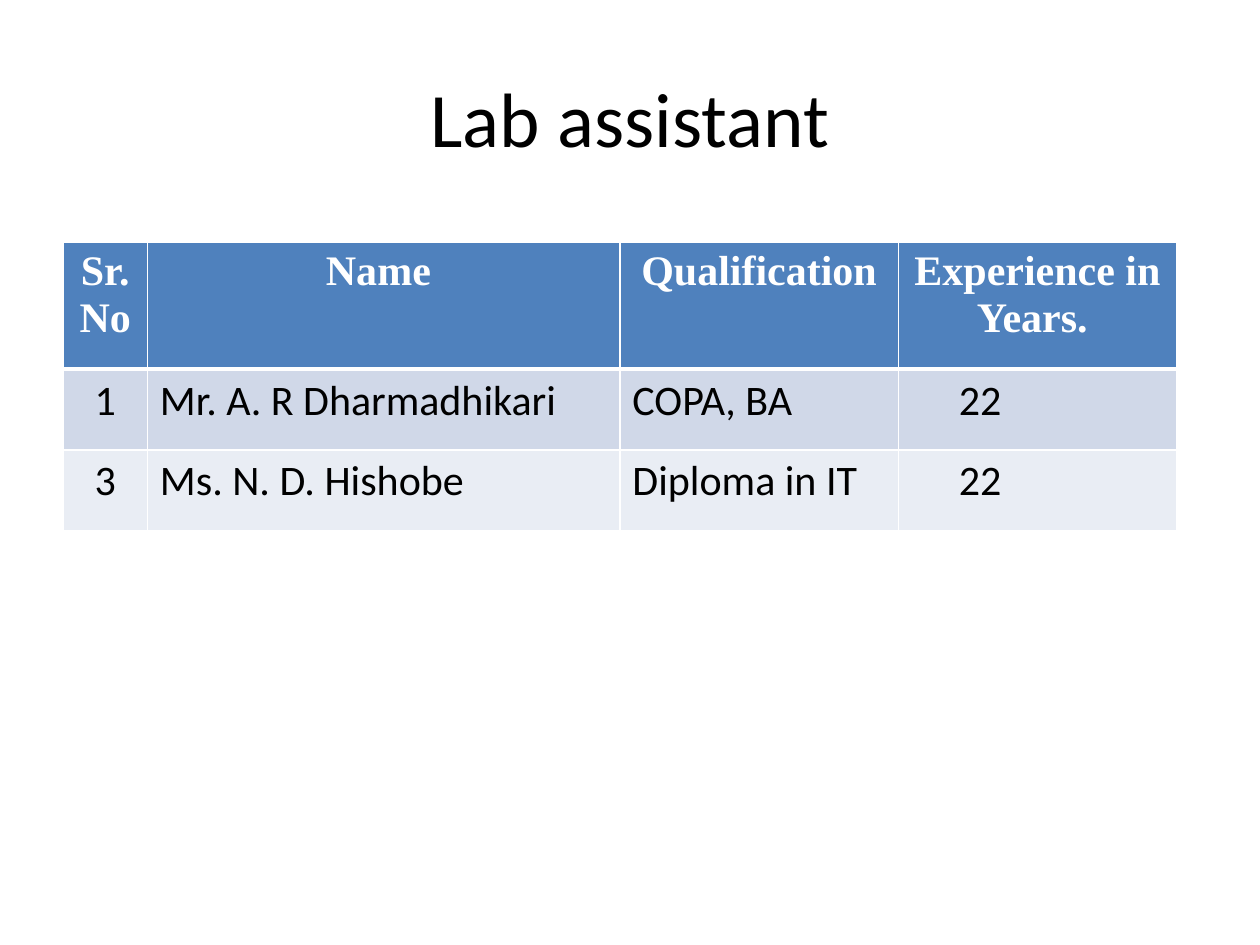
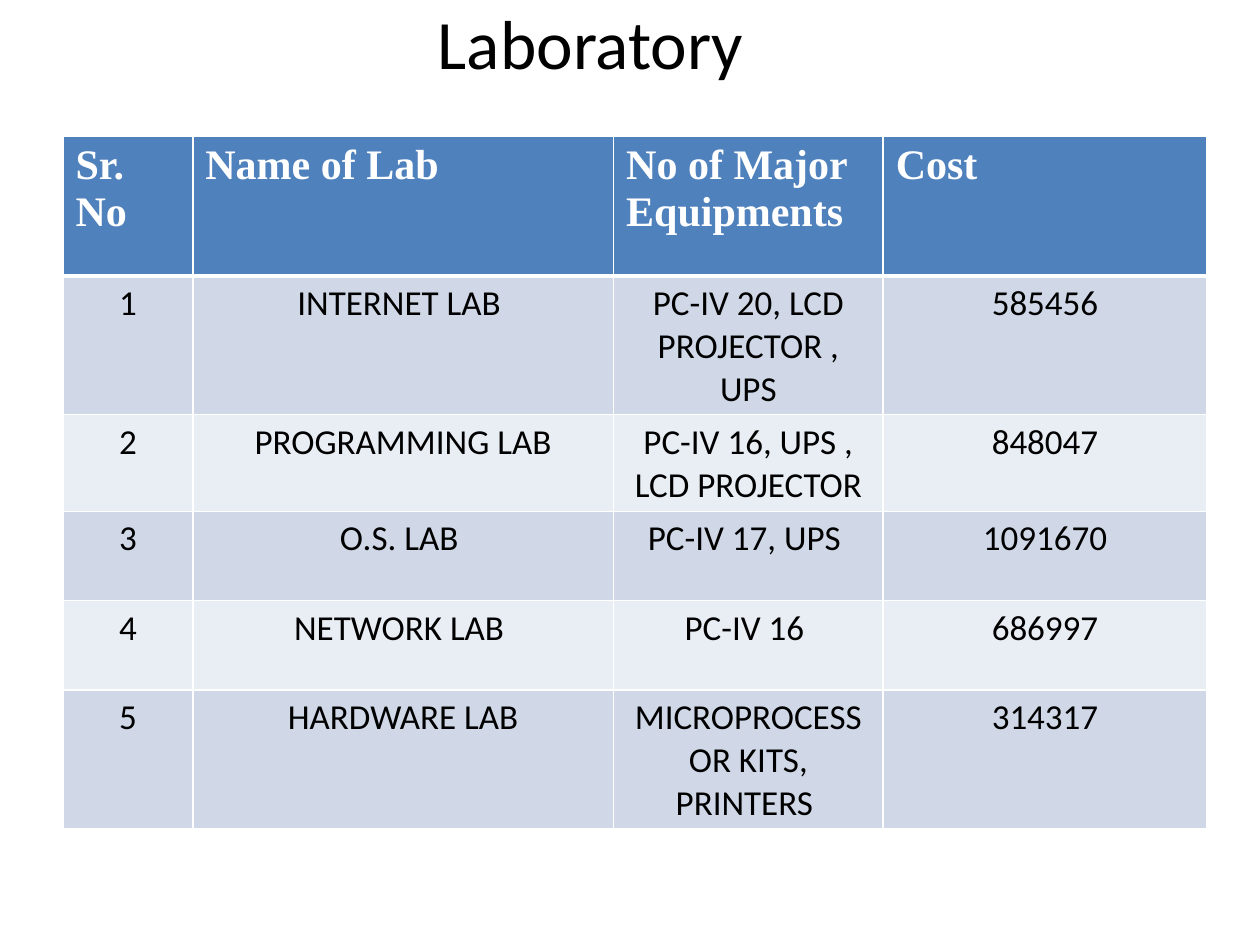
from pptx import Presentation
from pptx.dml.color import RGBColor
from pptx.enum.text import MSO_ANCHOR, PP_ALIGN
from pptx.oxml import parse_xml
from pptx.oxml.ns import nsdecls
from pptx.util import Inches, Pt

HEADER, BANDS = "4F81BD", ("D0D8E8", "E9EDF4")
ALIGN = {"c": PP_ALIGN.CENTER, "l": PP_ALIGN.LEFT}
HEADER_FONT = {"name": "Times New Roman", "size": Pt(24), "bold": True}


def rgb(value):
    return RGBColor.from_string(value)


def write(p, text, align, color, font):
    p.alignment = ALIGN[align]
    r = p.add_run()
    r.text = text
    r.font.color.rgb = rgb(color)
    for name, value in font.items():
        setattr(r.font, name, value)


slides = [
    {
        "title": "Lab assistant", "title_box": (0.5, 0.3, 9, 1.25), "title_size": 44,
        "at": (0.5, 1.92), "cols": (0.67, 3.75, 2.21, 2.21), "heights": (1.01, 0.64, 0.64),
        "header_align": "cccc", "body_align": "clll", "body_size": 24, "last_margin": 0.48,
        "rows": [
            ("Sr. No", "Name ", "Qualification", "Experience in Years. "),
            ("1", "Mr. A. R Dharmadhikari", "COPA, BA", "22"),
            ("3", "Ms. N. D. Hishobe", "Diploma in IT", "22"),
        ],
    },
    {
        "title": "Laboratory ", "title_box": (0.25, 0, 9, 0.67), "title_size": 39.6,
        "at": (0.5, 1.08), "cols": (1.03, 3.34, 2.14, 2.57),
        "heights": (1.11, 0.86, 0.71, 0.71, 0.71, 0.71),
        "header_align": "llll", "body_align": "cccc", "body_size": 20, "last_margin": 0.1,
        "rows": [
            ("Sr. No", "Name of Lab", "No of Major Equipments", "Cost"),
            ("1", "INTERNET LAB ", "PC-IV 20, LCD PROJECTOR , UPS", "585456"),
            ("2", "PROGRAMMING LAB", "PC-IV 16, UPS , LCD PROJECTOR", "848047"),
            ("3", "O.S. LAB ", "PC-IV 17, UPS ", "1091670"),
            ("4", "NETWORK LAB ", "PC-IV 16 ", "686997"),
            ("5", "HARDWARE LAB", "MICROPROCESSOR KITS, PRINTERS ", "314317"),
        ],
    },
]

prs = Presentation()
prs.slide_width, prs.slide_height = Inches(10), Inches(7.5)

for data in slides:
    s = prs.slides.add_slide(prs.slide_layouts[6])
    tf = s.shapes.add_textbox(*map(Inches, data["title_box"])).text_frame
    tf.word_wrap = True
    tf.vertical_anchor = MSO_ANCHOR.MIDDLE
    write(tf.paragraphs[0], data["title"], "c", "000000",
          {"name": "Calibri", "size": Pt(data["title_size"])})

    rows, cols, heights = data["rows"], data["cols"], data["heights"]
    size = (sum(cols), sum(heights))
    table = s.shapes.add_table(len(rows), len(cols), *map(Inches, data["at"] + size)).table
    for column, width in zip(table.columns, cols):
        column.width = Inches(width)
    for row, height in zip(table.rows, heights):
        row.height = Inches(height)

    body_font = {"name": "Calibri", "size": Pt(data["body_size"]), "bold": False}
    for i, row in enumerate(rows):
        for j, text in enumerate(row):
            cell = table.cell(i, j)
            tcPr = cell._tc.get_or_add_tcPr()
            for side in "LRTB":
                width = Pt(3 if (i, side) in ((0, "B"), (1, "T")) else 1)
                tcPr.append(parse_xml(
                    f'<a:ln{side} {nsdecls("a")} w="{width}"><a:solidFill>'
                    f'<a:srgbClr val="FFFFFF"/></a:solidFill></a:ln{side}>'))
            cell.fill.solid()
            p = cell.text_frame.paragraphs[0]
            if i == 0:
                cell.fill.fore_color.rgb = rgb(HEADER)
                write(p, text, data["header_align"][j], "FFFFFF", HEADER_FONT)
            else:
                cell.fill.fore_color.rgb = rgb(BANDS[(i - 1) % 2])
                write(p, text, data["body_align"][j], "000000", body_font)
                if j == len(cols) - 1:
                    cell.margin_left = Inches(data["last_margin"])

prs.save("out.pptx")
